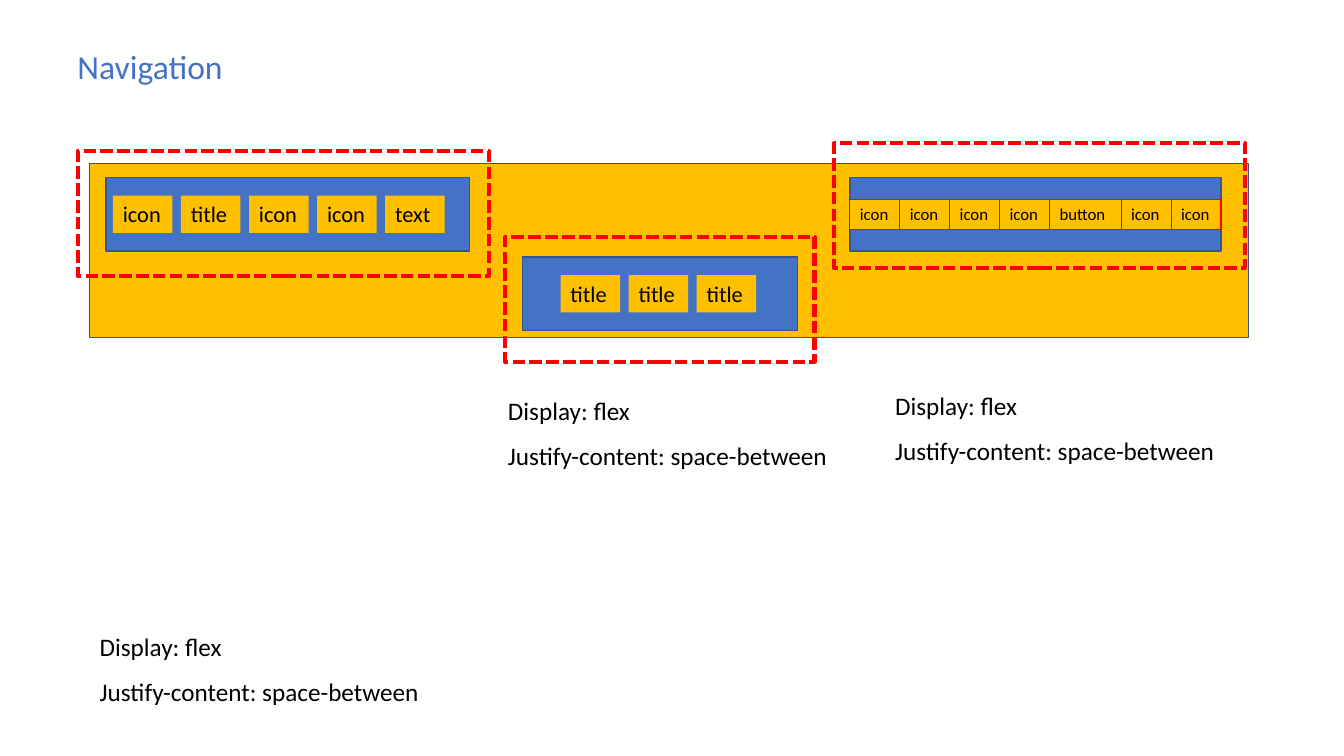
from dataclasses import dataclass
from pptx import Presentation
from pptx.dml.color import RGBColor as Rgb
from pptx.enum.dml import MSO_LINE as Dash
from pptx.enum.shapes import MSO_SHAPE as Kind
from pptx.enum.text import MSO_ANCHOR as Anchor, PP_ALIGN as Align
from pptx.util import Inches, Pt


@dataclass(frozen=True)
class Theme:
    """Colours, font and type sizes."""
    gold: str = "FFC000"
    blue: str = "4472C4"
    edge: str = "325491"
    red: str = "FF0000"
    ink: str = "000000"
    font: str = "Calibri"
    head: int = 24
    note: int = 18


look = Theme()
TITLE = "Navigation"
NOTES = ["Display: flex", "Justify-content: space-between"]
WIDE = {"button": 0.71}

# Boxes are left, top, width, height in inches; "start" is the first chip.
BAR = (0.89, 1.62, 11.49, 1.73)
GROUPS = [
    dict(chips=["icon", "title", "icon", "icon", "text"],
         panel=(1.05, 1.76, 3.61, 0.73), frame=(0.77, 1.5, 4.08, 1.24),
         start=1.12, chip=(0.59, 0.37), gap=0.085, size=16, line=None,
         note=(0.89, 6.21)),
    dict(chips=["title"] * 3,
         panel=(5.18, 2.55, 2.73, 0.73), frame=(5.01, 2.35, 3.07, 1.24),
         start=5.56, chip=(0.59, 0.37), gap=0.085, size=16, line=None,
         note=(4.94, 3.87)),
    dict(chips=["icon"] * 4 + ["button"] + ["icon"] * 2,
         panel=(8.43, 1.76, 3.68, 0.73), frame=(8.27, 1.42, 4.08, 1.24),
         start=8.43, chip=(0.495, 0.3), gap=0, size=12, line=look.red,
         note=(8.78, 3.82)),
]
NOTE_STEP = 0.45

deck = Presentation()
deck.slide_width, deck.slide_height = Inches(13.33), Inches(7.5)
page = deck.slides.add_slide(deck.slide_layouts[6])


def rect(box, fill=None, line=None, width=1.0):
    """Add a flat rectangle with an optional fill and line."""
    shape = page.shapes.add_shape(Kind.RECTANGLE, *map(Inches, box))
    shape.shadow.inherit = False
    if fill:
        shape.fill.solid()
        shape.fill.fore_color.rgb = Rgb.from_string(fill)
    else:
        shape.fill.background()
    if line:
        shape.line.color.rgb = Rgb.from_string(line)
        shape.line.width = Pt(width)
    else:
        shape.line.fill.background()
    return shape


def write(shape, text, size, color=look.ink):
    """Put one left-aligned run at the top of a shape."""
    frame = shape.text_frame
    frame.word_wrap = True
    frame.vertical_anchor = Anchor.TOP
    frame.margin_right = 0
    para = frame.paragraphs[0]
    para.alignment = Align.LEFT
    run = para.add_run()
    run.text = text
    run.font.name, run.font.size = look.font, Pt(size)
    run.font.color.rgb = Rgb.from_string(color)


def label(box, text, size, color=look.ink):
    """Add a text box."""
    write(page.shapes.add_textbox(*map(Inches, box)), text, size, color)


def group(part):
    """Draw a panel, its row of chips, its dashed frame and its notes."""
    rect(part["panel"], look.blue, look.edge)
    _, top, _, tall = part["panel"]
    wide, high = part["chip"]
    left = part["start"]
    for text in part["chips"]:
        span = WIDE.get(text, wide)
        box = (left, top + (tall - high) / 2, span, high)
        write(rect(box, look.gold, part["line"], 0.75), text, part["size"])
        left += span + part["gap"]
    frame = rect(part["frame"], line=look.red, width=3)
    frame.line.dash_style = Dash.SQUARE_DOT
    left, top = part["note"]
    for row, text in enumerate(NOTES):
        label((left, top + row * NOTE_STEP, 3.84, 0.4), text, look.note)


rect(BAR, look.gold, look.edge)
label((0.67, 0.41, 3.54, 0.5), TITLE, look.head, look.blue)
for part in GROUPS:
    group(part)
deck.save("out.pptx")
